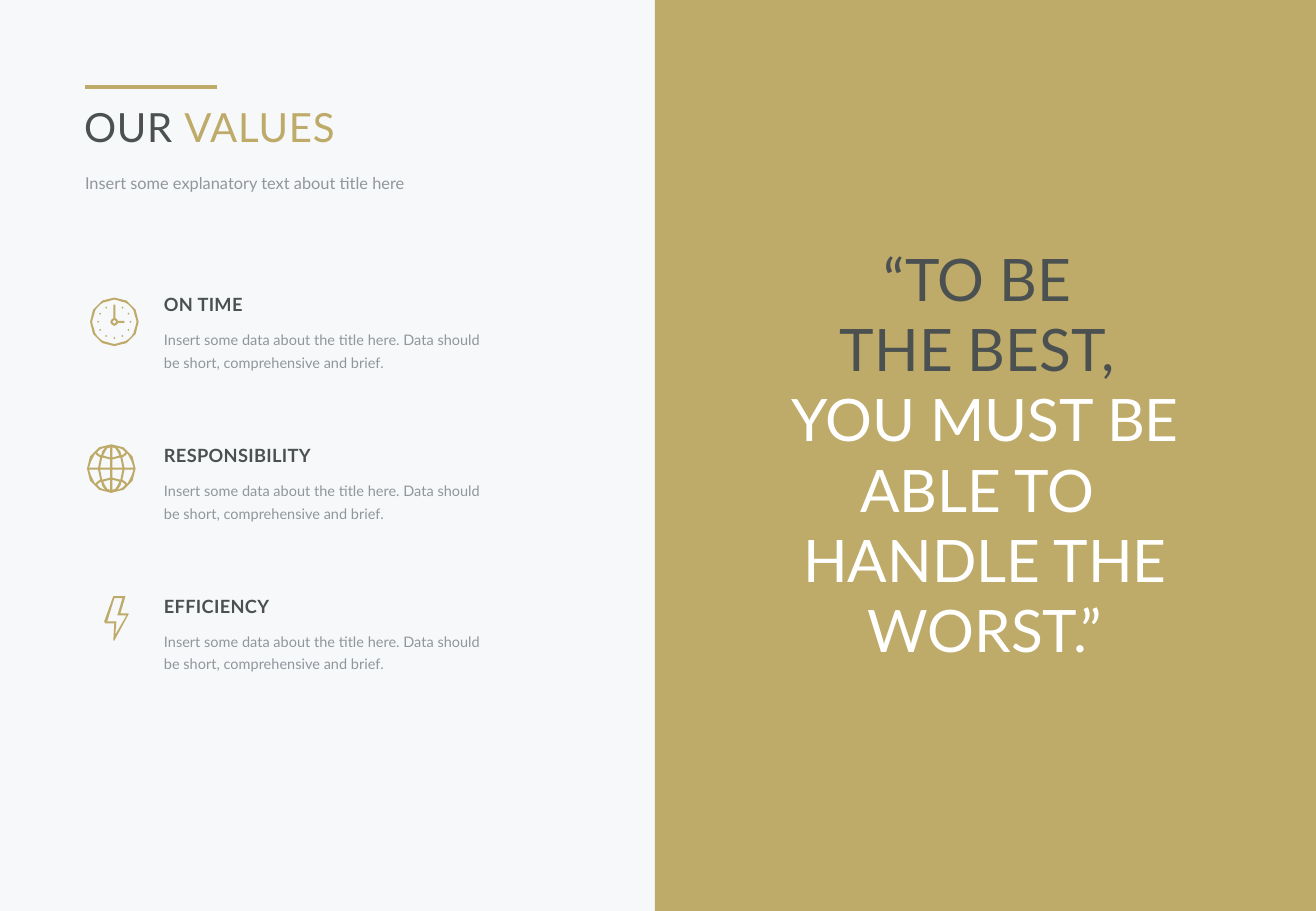
import math
from dataclasses import dataclass

from lxml import etree
from pptx import Presentation
from pptx import util as u
from pptx.dml.color import RGBColor
from pptx.enum import shapes, text
from pptx.oxml import ns

PX = 7620


@dataclass(frozen=True)
class Theme:
    font: str = "Lato"
    paper: str = "F6F8FA"
    gold: str = "BEAA69"
    dark: str = "4B5050"
    grey: str = "91969B"
    white: str = "FFFFFF"
    quote: float = 34.7
    title: float = 23.8
    intro: float = 9.7
    heading: float = 10.8
    body: float = 8.6
    rule: float = 2.25


THEME = Theme()


def px(*lengths):
    return [u.Emu(round(length * PX)) for length in lengths]


def rgb(color):
    return RGBColor.from_string(color)


def add_text(parts, box, paragraphs, size, bold=None, align=None, leading=None, tracking=None):
    frame = parts.add_textbox(*px(*box)).text_frame
    frame.margin_left = frame.margin_top = frame.margin_right = frame.margin_bottom = 0
    frame.word_wrap = True
    frame.auto_size = text.MSO_AUTO_SIZE.SHAPE_TO_FIT_TEXT
    for index, runs in enumerate(paragraphs):
        paragraph = frame.add_paragraph() if index else frame.paragraphs[0]
        paragraph.alignment = align
        paragraph.line_spacing = leading
        font = paragraph.font
        font.name, font.size, font.bold = THEME.font, u.Pt(size), bold
        font.color.rgb = rgb(runs[0][1])
        if tracking:
            font._rPr.set("spc", str(tracking))
        for words, color in runs:
            run = paragraph.add_run()
            run.text = words
            if color != runs[0][1]:
                run.font.color.rgb = rgb(color)


def paint_gold(shape):
    shape.shadow.inherit = False
    shape.fill.solid()
    shape.fill.fore_color.rgb = rgb(THEME.gold)
    shape.line.fill.background()


def add_icon(parts, cx, cy, contours):
    placed = [[(cx + x, cy + y) for x, y in contour] for contour in contours]
    builder = parts.build_freeform(*placed[0][0], scale=PX)
    for index, contour in enumerate(placed):
        if index:
            builder.move_to(*contour[0])
        builder.add_line_segments(contour[1:], close=True)
    paint_gold(builder.convert_to_shape())


def circle(radius, count, cx=0, cy=0):
    angles = [2 * math.pi * step / count for step in range(count)]
    return [(cx + radius * math.cos(angle), cy + radius * math.sin(angle)) for angle in angles]


def bar(left, top, right, bottom):
    return [(left, top), (right, top), (right, bottom), (left, bottom)]


def draw_clock(parts, left, top):
    contours = [circle(23.7, 36), circle(21.7, 36), circle(4, 12), circle(2, 8),
                bar(-1, -17, 1, -4), bar(4, -1, 10, 1)]
    for hour in range(1, 12):
        angle = math.radians(30 * hour)
        contours.append(circle(1, 4, 16.2 * math.sin(angle), -16.2 * math.cos(angle)))
    add_icon(parts, left + 29, top + 28, contours)


def draw_globe(parts, left, top):
    cells = [
        [(1, 1), (11, 1), (10.5, 6), (9, 10.8), (5, 9.8), (1, 9.5)],
        [(1, 11.5), (5, 11.8), (8.5, 12.7), (6.5, 17), (4, 20), (1, 21.5)],
        [(13, 1), (21.7, 1), (20.5, 7), (16, 14.5), (13.5, 12.8), (11, 11.5), (12.5, 6)],
        [(10.5, 13.3), (12.5, 14.3), (14.5, 15.8), (11, 18.5), (6.5, 20.5), (8.8, 17.5)],
    ]
    contours = [circle(23.7, 36)]
    for side_x in (-1, 1):
        for side_y in (-1, 1):
            contours += [[(side_x * x, side_y * y) for x, y in cell] for cell in cells]
    add_icon(parts, left + 26, top + 24, contours)


def draw_bolt(parts, left, top):
    edge = [(28, 1), (40, 1), (35, 18), (43, 18), (43, 19), (29, 45), (28, 45),
            (29, 28), (20, 28), (19, 26)]
    hollow = [(29, 3), (37, 3), (32, 20), (41, 20), (30, 39), (31, 26), (22, 26)]
    add_icon(parts, left, top, [edge, hollow])


def build_heading(parts, left, top, width):
    rule = parts.add_connector(shapes.MSO_CONNECTOR.STRAIGHT, *px(left, top, left + 130, top))
    rule.line.color.rgb = rgb(THEME.gold)
    rule.line.width = u.Pt(THEME.rule)
    etree.SubElement(rule._element.spPr, ns.qn("a:effectLst"))
    add_text(parts, (left - 1, top + 15, width, 48),
             [[("OUR ", THEME.dark), ("VALUES", THEME.gold)]], THEME.title, tracking=50)
    add_text(parts, (left, top + 84, width, 20),
             [[("Insert some explanatory text about title here", THEME.grey)]],
             THEME.intro, leading=u.Pt(12))


def build_value(parts, left, top, width, name, draw_icon):
    draw_icon(parts, left, top)
    value = parts.add_group_shape().shapes
    body = "Insert some data about the title here. Data should be short, comprehensive and brief."
    add_text(value, (left + 78, top + 32, width - 78, 46), [[(body, THEME.grey)]],
             THEME.body, leading=1.3)
    add_text(value, (left + 78, top, width - 78, 22), [[(name, THEME.dark)]],
             THEME.heading, bold=True, tracking=20)


def build_quote(parts, left, top, width, height):
    panel = parts.add_shape(shapes.MSO_SHAPE.RECTANGLE, *px(left, top, width, height))
    paint_gold(panel)
    lines = [("“TO BE ", THEME.dark), ("THE BEST, ", THEME.dark),
             ("YOU MUST BE ABLE TO ", THEME.white), ("HANDLE THE WORST.”", THEME.white)]
    add_text(parts, (left + 79, top + 240, 494, 420), [[line] for line in lines],
             THEME.quote, align=text.PP_ALIGN.CENTER)


def main():
    deck = Presentation()
    deck.slide_width, deck.slide_height = px(1300, 900)
    slide = deck.slides.add_slide(deck.slide_layouts[6])
    slide.background.fill.solid()
    slide.background.fill.fore_color.rgb = rgb(THEME.paper)
    parts = slide.shapes
    build_quote(parts, 647, 0, 653, 900)
    values = [("ON TIME", draw_clock), ("RESPONSIBILITY", draw_globe), ("EFFICIENCY", draw_bolt)]
    for index, (name, draw_icon) in enumerate(values):
        build_value(parts, 84, 290 + 149 * index, 397, name, draw_icon)
    build_heading(parts, 84, 86, 467)
    deck.save("out.pptx")


if __name__ == "__main__":
    main()
